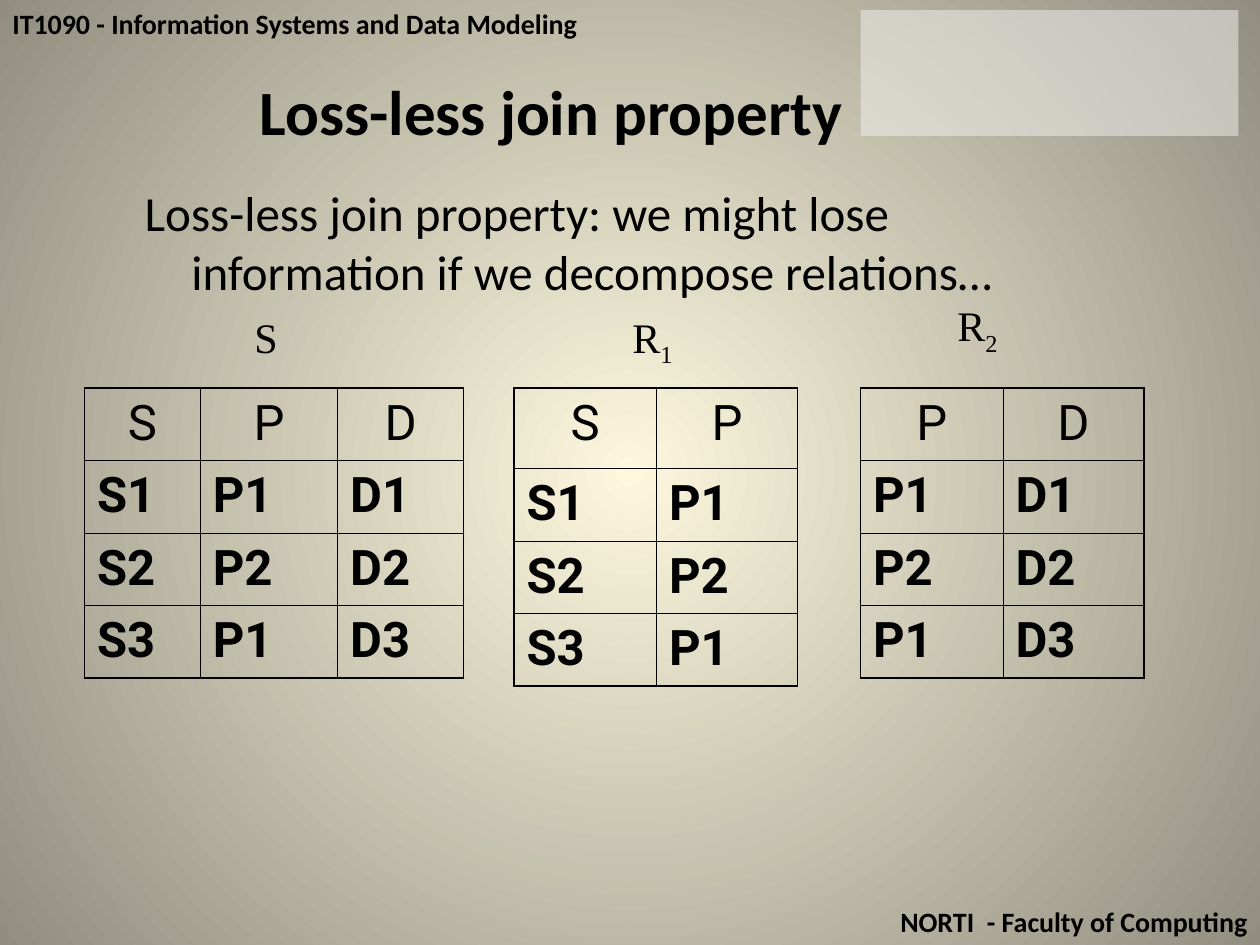
from lxml import etree
from pptx import Presentation
from pptx import util as u
from pptx.dml.color import RGBColor
from pptx.enum import shapes, text
from pptx.oxml import ns

THIN, THICK = 0.45, 1.08


def rgb(hex_text):
    return RGBColor.from_string(hex_text)


def add_xml(parent, tag, **attrs):
    return etree.SubElement(parent, ns.qn(tag), **attrs)


class Deck:
    ink = "000000"
    font = "Calibri"
    label_font = "Times New Roman"
    table_font = "Roboto"

    def __init__(self, slide):
        self.s = slide

    def background(self, centre, edge):
        """Fill the slide with a gradient that spreads in circles from its middle."""
        fill = self.s.background.fill
        fill.gradient()
        for stop, colour in zip(fill.gradient_stops, (centre, edge)):
            stop.color.rgb = rgb(colour)
        grad = self.s.background._cSld.find(".//" + ns.qn("a:gradFill"))
        grad.remove(grad.find(ns.qn("a:lin")))
        path = add_xml(grad, "a:path", path="circle")
        add_xml(path, "a:fillToRect", l="50000", t="50000", r="50000", b="50000")

    def run(self, p, words, size, font, bold=False):
        r = p.add_run()
        r.text = words
        r.font.size, r.font.name, r.font.bold = u.Pt(size), font, bold
        r.font.color.rgb = rgb(self.ink)
        return r

    def text(self, box, words, size, font=None, bold=False, align=None, wrap=True):
        sp = self.s.shapes.add_textbox(*map(u.Inches, box))
        tf = sp.text_frame
        tf.word_wrap = wrap
        p = tf.paragraphs[0]
        p.alignment = align
        self.run(p, words, size, font or self.font, bold)
        return p

    def body(self, box, words):
        p = self.text(box, words, 28)
        p.space_before = u.Pt(7)
        pPr = p._p.get_or_add_pPr()
        pPr.set("marL", str(u.Inches(0.38)))
        pPr.set("indent", str(u.Inches(-0.37)))

    def label(self, box, name, index=""):
        """Name a relation, with an optional subscript."""
        p = self.text(box, name, 24, self.label_font, wrap=False)
        if index:
            r = self.run(p, index, 24, self.label_font)
            r.font._element.set("baseline", "-25000")

    def panel(self, box, colour, opacity):
        sp = self.s.shapes.add_shape(shapes.MSO_SHAPE.RECTANGLE, *map(u.Inches, box))
        sp.shadow.inherit = False
        sp.fill.solid()
        sp.fill.fore_color.rgb = rgb(colour)
        sp.line.fill.background()
        solid = sp._element.spPr.find(ns.qn("a:solidFill"))
        add_xml(solid[0], "a:alpha", val=str(opacity * 1000))

    def borders(self, cell, widths):
        tcPr = cell._tc.get_or_add_tcPr()
        for side, width in zip("LRTB", widths):
            ln = add_xml(tcPr, "a:ln" + side, w=str(u.Pt(width)))
            add_xml(add_xml(ln, "a:solidFill"), "a:srgbClr", val=self.ink)

    def table(self, left, top, col_widths, row_heights, rows):
        """Draw a relation: a centred header, bold rows and a heavier frame."""
        size = sum(col_widths), sum(row_heights)
        frame = self.s.shapes.add_table(len(rows), len(col_widths),
                                        *map(u.Inches, (left, top, *size)))
        table = frame.table
        table.first_row = table.horz_banding = False
        for col, width in zip(table.columns, col_widths):
            col.width = u.Inches(width)
        for row, height in zip(table.rows, row_heights):
            row.height = u.Inches(height)
        last_row, last_col = len(rows) - 1, len(col_widths) - 1
        for i, values in enumerate(rows):
            for j, value in enumerate(values):
                cell = table.cell(i, j)
                outer = (j == 0, j == last_col, i == 0, i == last_row)
                self.borders(cell, [THICK if edge else THIN for edge in outer])
                cell.fill.background()
                p = cell.text_frame.paragraphs[0]
                p.alignment = text.PP_ALIGN.CENTER if i == 0 else text.PP_ALIGN.LEFT
                p.line_spacing, p.space_before = 1.01, u.Pt(7)
                self.run(p, value, 28, self.table_font, bold=i > 0)


def main():
    prs = Presentation()
    prs.slide_width, prs.slide_height = u.Inches(10), u.Inches(7.5)
    deck = Deck(prs.slides.add_slide(prs.slide_layouts[6]))

    deck.background("FCF7DD", "918E81")
    deck.text((0, 0, 10, 0.37), "IT1090 - Information Systems and Data Modeling",
              16, bold=True)
    deck.text((0, 7.13, 10, 0.37), "NORTI  - Faculty of Computing", 16, bold=True,
              align=text.PP_ALIGN.RIGHT)
    deck.panel((6.83, 0.08, 3, 1), "F2F2F2", 50)
    deck.text((0, 0.53, 8.75, 0.87), "Loss-less join property", 36, bold=True,
              align=text.PP_ALIGN.CENTER)
    deck.body((1.04, 1.4, 7.75, 4.69), "Loss-less join property: we might lose "
              "information if we decompose relations…")

    relation = ["SPD", ("S1", "P1", "D1"), ("S2", "P2", "D2"), ("S3", "P1", "D3")]
    even_rows = [0.575] * 4
    pair = [1.13, 1.12]

    deck.label((1.92, 2.42, 0.38, 0.5), "S")
    deck.table(0.67, 3.08, [0.92, 1.09, 1], even_rows, relation)
    deck.label((4.92, 2.42, 0.53, 0.56), "R", "1")
    deck.table(4.08, 3.08, pair, [0.64] + even_rows[1:], [row[:2] for row in relation])
    deck.label((7.5, 2.33, 0.53, 0.56), "R", "2")
    deck.table(6.83, 3.08, pair, even_rows, [row[1:] for row in relation])

    prs.save("out.pptx")


if __name__ == "__main__":
    main()
